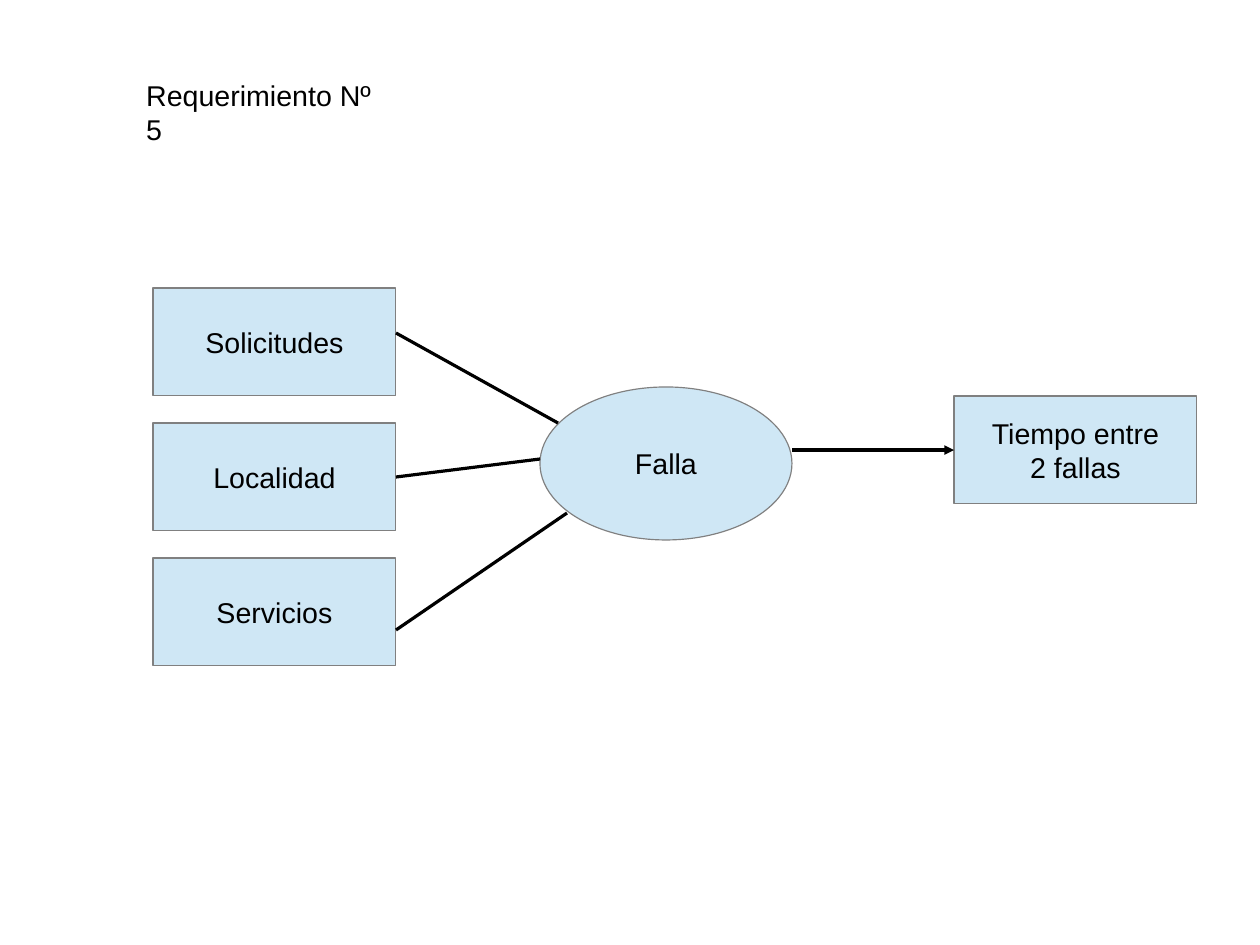
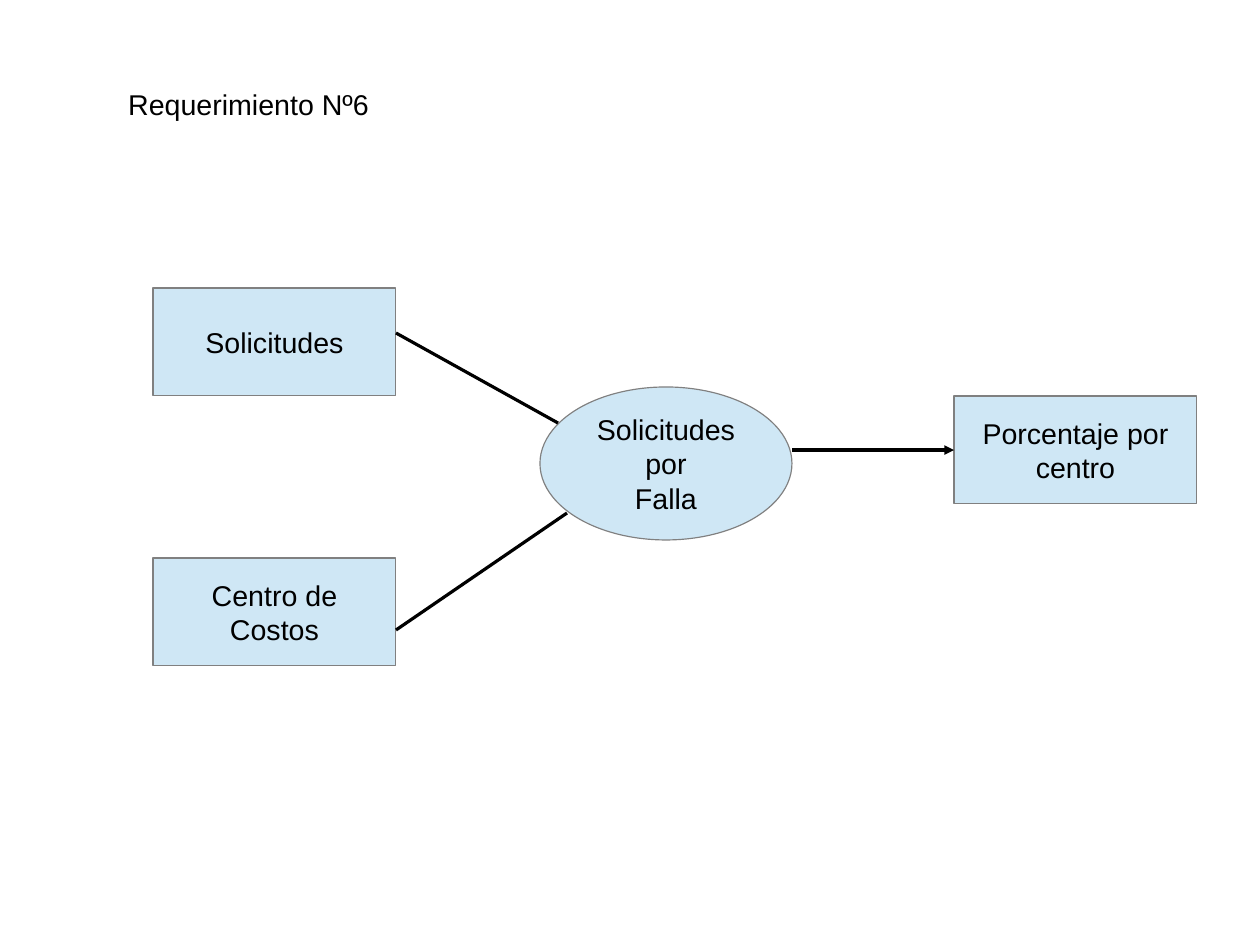
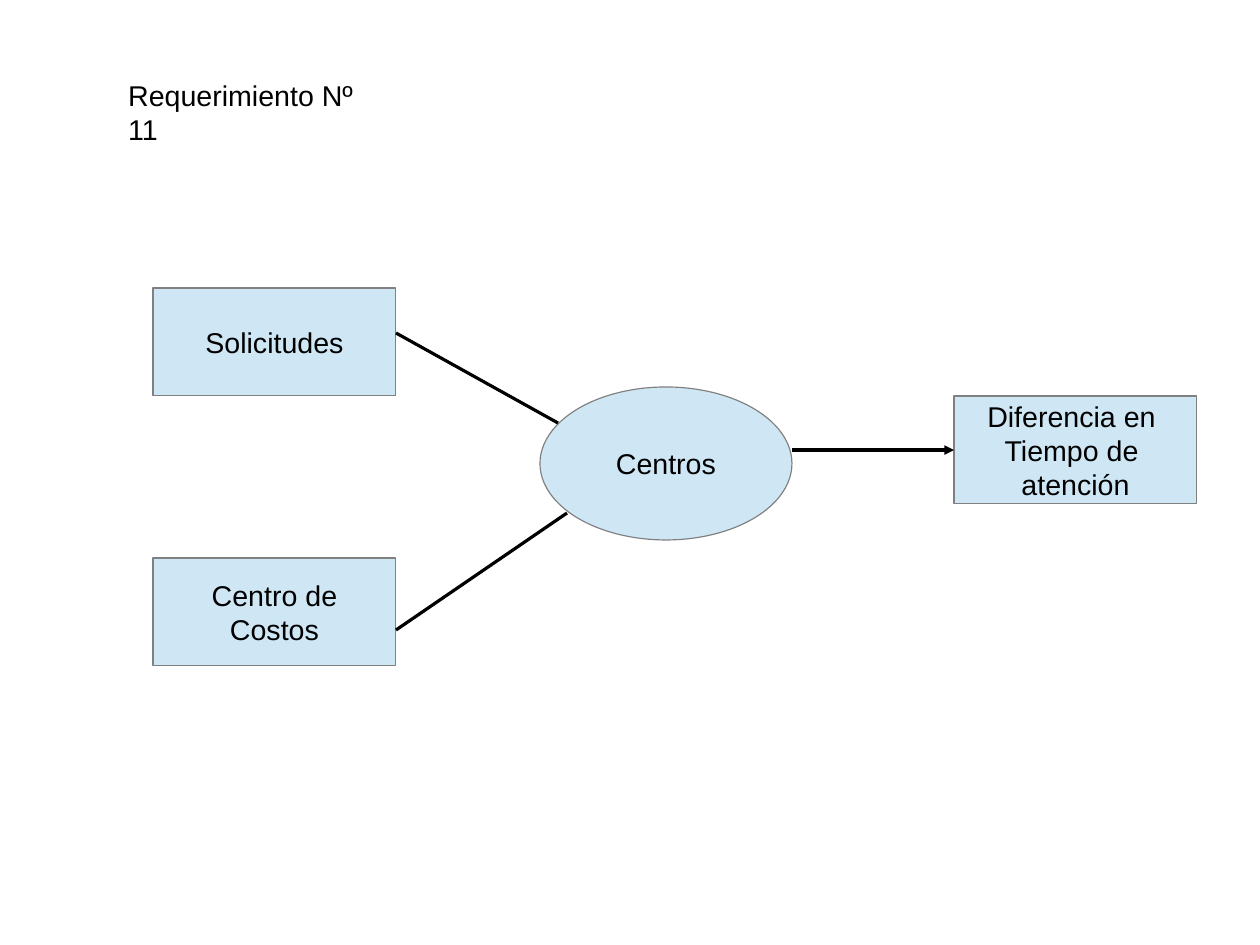
from pptx import Presentation
from pptx.dml.color import RGBColor
from pptx.enum.shapes import MSO_CONNECTOR, MSO_SHAPE
from pptx.enum.text import MSO_ANCHOR, MSO_AUTO_SIZE, PP_ALIGN
from pptx.oxml.ns import qn
from pptx.util import Pt
from lxml.etree import SubElement

EMU_PER_PX = 8000
SLIDE_WIDTH, SLIDE_HEIGHT = 1260, 945

BLACK = RGBColor(0x00, 0x00, 0x00)
GRAY = RGBColor(0x80, 0x80, 0x80)
PALE_BLUE = RGBColor(0xCF, 0xE7, 0xF5)

BOX_WIDTH, BOX_HEIGHT = 243, 108
SOURCE_LEFT, SOURCE_TOP, SOURCE_PITCH = 153, 288, 135
SOURCE_RIGHT = SOURCE_LEFT + BOX_WIDTH
RESULT_LEFT, RESULT_TOP = 954, 396
RESULT_MIDDLE = RESULT_TOP + BOX_HEIGHT // 2
ELLIPSE = (540, 387, 252, 153)
ELLIPSE_RIGHT = ELLIPSE[0] + ELLIPSE[2]

# Per row of source boxes: where its line leaves the box and meets the ellipse
SOURCE_LINES = (
    ((SOURCE_RIGHT, 333), (558, 423)),
    ((SOURCE_RIGHT, 477), (540, 459)),
    ((SOURCE_RIGHT, 630), (567, 513)),
)
MIDDLE_ROW = 1
LEFT_SIDE, RIGHT_SIDE = 1, 3

# Title, title left, title top, sources by row, process, result
REQUIREMENTS = (
    ("Requerimiento Nº 5", 135, 72,
     {0: "Solicitudes", 1: "Localidad", 2: "Servicios"},
     "Falla", "Tiempo entre\n2 fallas"),
    ("Requerimiento Nº6", 117, 81,
     {0: "Solicitudes", 2: "Centro de Costos"},
     "Solicitudes por\nFalla", "Porcentaje por\ncentro"),
    ("Requerimiento Nº 11", 117, 72,
     {0: "Solicitudes", 2: "Centro de Costos"},
     "Centros", "Diferencia en \nTiempo de \natención"),
)


def px(*lengths):
    """Turn pixel lengths into EMU."""
    return [length * EMU_PER_PX for length in lengths]


class Diagram:
    """Holds the shared style and draws on the current slide."""

    font_name = "Arial"
    font_size = Pt(18)

    def __init__(self, presentation):
        self.presentation = presentation
        self.slide = None

    def new_slide(self):
        blank_layout = self.presentation.slide_layouts[6]
        self.slide = self.presentation.slides.add_slide(blank_layout)

    def set_text(self, text_frame, text, alignment):
        text_frame.text = text
        for paragraph in text_frame.paragraphs:
            paragraph.alignment = alignment
            paragraph.font.name = self.font_name
            paragraph.font.size = self.font_size
            paragraph.font.color.rgb = BLACK

    def title(self, text, left, top):
        text_box = self.slide.shapes.add_textbox(*px(left, top, 270, 43))
        text_box.text_frame.word_wrap = False
        text_box.text_frame.auto_size = MSO_AUTO_SIZE.SHAPE_TO_FIT_TEXT
        self.set_text(text_box.text_frame, text, PP_ALIGN.LEFT)

    def node(self, preset, text, left, top, width, height):
        shape = self.slide.shapes.add_shape(preset, *px(left, top, width, height))
        shape.shadow.inherit = False
        shape.fill.solid()
        shape.fill.fore_color.rgb = PALE_BLUE
        shape.line.color.rgb = GRAY
        shape.line.width = 0
        shape.text_frame.word_wrap = True
        shape.text_frame.vertical_anchor = MSO_ANCHOR.MIDDLE
        self.set_text(shape.text_frame, text, PP_ALIGN.CENTER)
        return shape

    def box(self, text, left, top):
        return self.node(MSO_SHAPE.RECTANGLE, text, left, top, BOX_WIDTH, BOX_HEIGHT)

    def line(self, start, end):
        connector = self.slide.shapes.add_connector(
            MSO_CONNECTOR.STRAIGHT, *px(*start, *end))
        connector.line.color.rgb = BLACK
        connector.line.width = 0
        SubElement(connector._element.spPr, qn("a:effectLst"))
        return connector

    def arrow(self, start, end):
        connector = self.line(start, end)
        outline = connector._element.spPr.find(qn("a:ln"))
        SubElement(outline, qn("a:tailEnd"), type="triangle")
        return connector

    def requirement(self, title, title_left, title_top, sources, process, result):
        self.new_slide()
        self.title(title, title_left, title_top)
        source_boxes = {
            row: self.box(text, SOURCE_LEFT, SOURCE_TOP + row * SOURCE_PITCH)
            for row, text in sources.items()
        }
        result_box = self.box(result, RESULT_LEFT, RESULT_TOP)
        self.node(MSO_SHAPE.OVAL, process, *ELLIPSE)

        result_arrow = self.arrow(
            (ELLIPSE_RIGHT, RESULT_MIDDLE), (RESULT_LEFT, RESULT_MIDDLE))
        result_arrow.end_connect(result_box, LEFT_SIDE)
        for row, source_box in source_boxes.items():
            source_line = self.line(*SOURCE_LINES[row])
            if row == MIDDLE_ROW:
                source_line.begin_connect(source_box, RIGHT_SIDE)


def main():
    presentation = Presentation()
    presentation.slide_width, presentation.slide_height = px(SLIDE_WIDTH, SLIDE_HEIGHT)
    diagram = Diagram(presentation)
    for requirement in REQUIREMENTS:
        diagram.requirement(*requirement)
    presentation.save("out.pptx")


if __name__ == "__main__":
    main()
